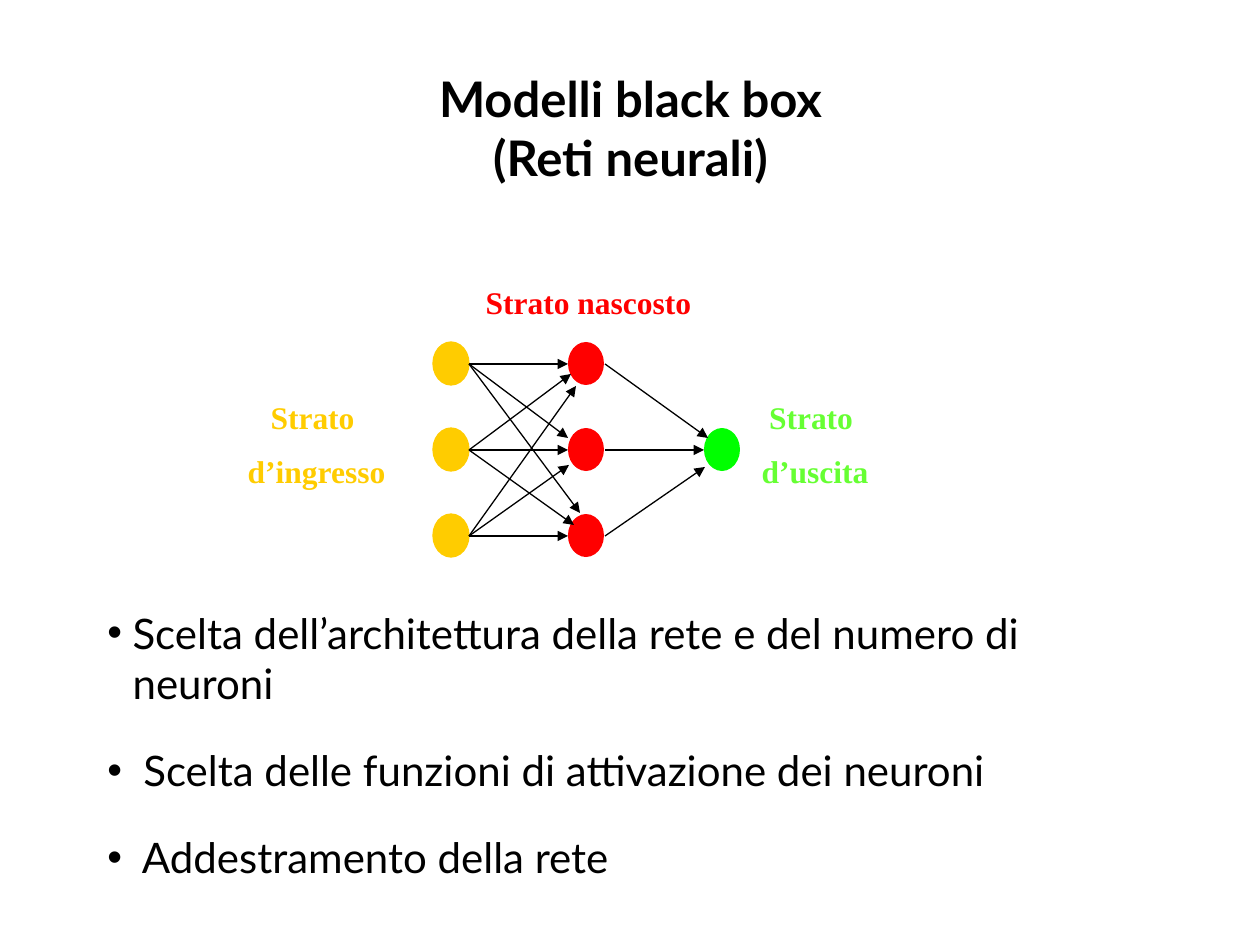
from dataclasses import dataclass

from lxml import etree
from pptx import Presentation
from pptx import util as u
from pptx.dml.color import RGBColor
from pptx.enum import shapes, text
from pptx.oxml.ns import qn

DPI = 126
HUES = {
    "ink": "000000",
    "gold": "FFCC00",
    "red": "FF0000",
    "green": "00FF00",
    "lime": "66FF33",
}
SANS, SERIF = "Lato", "Times New Roman"


@dataclass
class Layer:
    left: int
    hue: str
    rows: tuple[int, ...]
    edge: bool = False


@dataclass
class Label:
    box: tuple[int, int, int, int]
    lines: list[str]
    hue: str
    lead: float = 0.9
    wrap: bool = True


def px(n: int) -> u.Emu:
    return u.Emu(round(n * 914400 / DPI))


def tint(name: str) -> RGBColor:
    return RGBColor.from_string(HUES[name])


def add_text(slide, box: tuple[int, int, int, int], lines: list[str], *,
             font: str, size: int, hue: str = "ink", bold: bool = False,
             align=text.PP_ALIGN.CENTER, anchor=text.MSO_ANCHOR.MIDDLE,
             lead: float = 1.0, before: float = 0, after: float = 0,
             wrap: bool = True, bullet: bool = False) -> None:
    frame = slide.shapes.add_textbox(*map(px, box)).text_frame
    frame.word_wrap = wrap
    frame.vertical_anchor = anchor
    for i, line in enumerate(lines):
        para = frame.paragraphs[0] if i == 0 else frame.add_paragraph()
        para.text = line
        para.alignment = align
        para.line_spacing = lead
        para.space_before = u.Pt(before if i else 0)
        para.space_after = u.Pt(after)
        if bullet:
            props = para._p.get_or_add_pPr()
            props.set("marL", str(u.Inches(0.2)))
            props.set("indent", str(-u.Inches(0.2)))
            etree.SubElement(props, qn("a:buFont"), typeface="Arial")
            etree.SubElement(props, qn("a:buChar"), char="•")
        for run in para.runs:
            run.font.name = font
            run.font.size = u.Pt(size)
            run.font.bold = bold
            run.font.color.rgb = tint(hue)


def add_node(slide, left: int, top: int, layer: Layer) -> None:
    node = slide.shapes.add_shape(
        shapes.MSO_SHAPE.OVAL, px(left), px(top), px(NODE_W), px(NODE_H))
    node.shadow.inherit = False
    node.fill.solid()
    node.fill.fore_color.rgb = tint(layer.hue)
    if layer.edge:
        node.line.color.rgb = tint(layer.hue)
        node.line.width = u.Pt(0.75)
    else:
        node.line.fill.background()


def add_arrow(slide, start: tuple[int, int], end: tuple[int, int]) -> None:
    link = slide.shapes.add_connector(
        shapes.MSO_CONNECTOR.STRAIGHT, *map(px, start + end))
    link.line.color.rgb = tint("ink")
    link.line.width = u.Pt(0.75)
    etree.SubElement(link.line._get_or_add_ln(), qn("a:tailEnd"), type="triangle")
    etree.SubElement(link._element.spPr, qn("a:effectLst"))


# Network grid
NODE_W, NODE_H = 36, 43
TOP, STEP = 342, 86
MID = [364 + STEP * row for row in range(3)]
IN_X, HID_X, OUT_X = 469, 605, 704

LAYERS = [
    Layer(433, "gold", (0, 1, 2), edge=True),
    Layer(568, "red", (0, 1, 2)),
    Layer(704, "green", (1,)),
]

# Arrow tips by starting row
IN_TIPS = [
    [(568, MID[0]), (568, 438), (580, 513)],
    [(571, 374), (568, MID[1]), (574, 525)],
    [(576, 386), (569, 465), (568, MID[2])],
]
OUT_TIPS = [(708, 438), (OUT_X, MID[1]), (705, 467)]

LABELS = [
    Label((213, 396, 207, 101), ["Strato ", "d’ingresso"], "gold"),
    Label((731, 396, 168, 101), ["Strato ", "d’uscita"], "lime"),
    Label((473, 265, 231, 62), ["Strato nascosto"], "red", 1.3, False),
]

POINTS = [
    "Scelta dell’architettura della rete e del numero di neuroni",
    " Scelta delle funzioni di attivazione dei neuroni",
    " Addestramento della rete",
]


def main() -> None:
    deck = Presentation()
    deck.slide_width, deck.slide_height = px(1260), px(945)
    slide = deck.slides.add_slide(deck.slide_layouts[6])

    # Title and bullet points
    add_text(slide, (95, 26, 1071, 203), ["Modelli black box\v(Reti neurali)"],
             font=SANS, size=28, bold=True)
    add_text(slide, (95, 601, 1041, 287), POINTS, font=SANS, size=24,
             align=text.PP_ALIGN.LEFT, anchor=text.MSO_ANCHOR.TOP,
             after=21, bullet=True)

    # Neurons
    for layer in LAYERS:
        for row in layer.rows:
            add_node(slide, layer.left, TOP + STEP * row, layer)

    # Links between layers
    for y, tips, tip in zip(MID, IN_TIPS, OUT_TIPS):
        for end in tips:
            add_arrow(slide, (IN_X, y), end)
        add_arrow(slide, (HID_X, y), tip)

    # Layer names
    for label in LABELS:
        add_text(slide, label.box, label.lines, font=SERIF, size=18,
                 hue=label.hue, bold=True, lead=label.lead, before=11.2,
                 wrap=label.wrap)

    deck.save("out.pptx")


if __name__ == "__main__":
    main()
